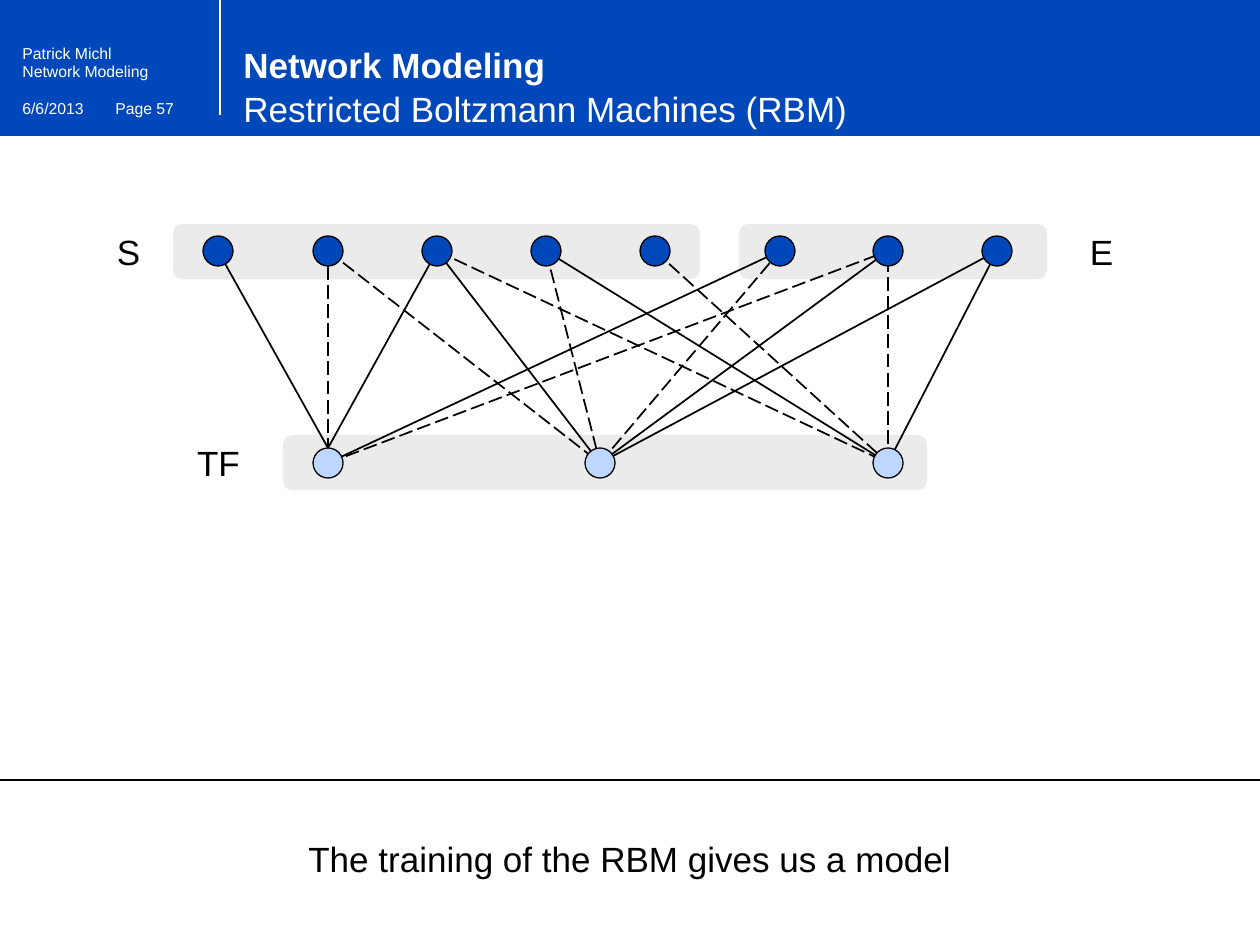
from dataclasses import dataclass

from lxml import etree
from pptx import Presentation
from pptx import util as u
from pptx.dml.color import RGBColor
from pptx.enum import dml, shapes, text
from pptx.oxml.ns import qn

SCALE = 914400 / 126
W, H = 1260, 945
BLUE, PALE, GREY, WHITE, BLACK = "0047B9", "BED7FF", "D9D9D9", "FFFFFF", "000000"
TOP_Y, BOTTOM_Y, DOT = 251, 463, 30
SMALL = {"size": u.Pt(9), "name": "Arial", "bold": False}
LARGE = {"size": u.Pt(20), "name": "Arial", "bold": False}
BOLD = {**LARGE, "bold": True}


@dataclass
class Label:
    x: int
    y: int
    w: int
    h: int
    lines: list[tuple[str, dict]]
    color: str = BLACK
    align: text.PP_ALIGN = text.PP_ALIGN.CENTER
    spacing: float = 1.0


@dataclass
class Edge:
    x1: int
    y1: int
    x2: int
    y2: int
    dashed: bool = False
    color: str = BLACK
    width: float = 1


def px(n: float) -> int:
    return round(n * SCALE)


def rgb(hex_color: str) -> RGBColor:
    return RGBColor.from_string(hex_color)


def draw_shape(s, kind, x: int, y: int, w: int, h: int, fill: str,
               outline: str | None = None, alpha: int | None = None) -> None:
    sp = s.shapes.add_shape(kind, px(x), px(y), px(w), px(h))
    sp.shadow.inherit = False
    sp.fill.solid()
    sp.fill.fore_color.rgb = rgb(fill)
    if alpha is not None:
        clr = sp.fill._xPr.find(".//" + qn("a:srgbClr"))
        etree.SubElement(clr, qn("a:alpha"), val=str(alpha * 1000))
    if outline:
        sp.line.color.rgb = rgb(outline)
        sp.line.width = u.Pt(0.75)
    else:
        sp.line.fill.background()


def draw_edge(s, e: Edge) -> None:
    c = s.shapes.add_connector(shapes.MSO_CONNECTOR.STRAIGHT,
                               px(e.x1), px(e.y1), px(e.x2), px(e.y2))
    etree.SubElement(c._element.spPr, qn("a:effectLst"))
    c.line.color.rgb = rgb(e.color)
    c.line.width = u.Pt(e.width)
    if e.dashed:
        c.line.dash_style = dml.MSO_LINE.LONG_DASH


def draw_label(s, label: Label) -> None:
    tf = s.shapes.add_textbox(px(label.x), px(label.y), px(label.w), px(label.h)).text_frame
    tf.word_wrap = True
    p = tf.paragraphs[0]
    p.alignment = label.align
    p.line_spacing = label.spacing
    for i, (words, fmt) in enumerate(label.lines):
        if i:
            p.add_line_break()
        r = p.add_run()
        r.text = words
        r.font.color.rgb = rgb(label.color)
        for key, value in fmt.items():
            setattr(r.font, key, value)


def main() -> None:
    prs = Presentation()
    prs.slide_width, prs.slide_height = px(W), px(H)
    s = prs.slides.add_slide(prs.slide_layouts[6])
    s.background.fill.solid()
    s.background.fill.fore_color.rgb = rgb("CCDBF1")

    rect = shapes.MSO_SHAPE.RECTANGLE
    draw_shape(s, rect, 0, 136, W, H - 136, WHITE)
    draw_shape(s, rect, 0, 0, W, 136, BLUE)
    draw_edge(s, Edge(220, 115, 220, 0, color=WHITE, width=0.9))
    for x, y, w in [(283, 435, 644), (739, 224, 308), (173, 224, 527)]:
        draw_shape(s, shapes.MSO_SHAPE.ROUNDED_RECTANGLE, x, y, w, 55, GREY, alpha=50)
    draw_edge(s, Edge(0, 780, W, 780, width=0.75))

    s_nodes = [218, 328, 437, 546, 655]
    e_nodes = [780, 888, 997]
    tf_nodes = [328, 600, 888]
    s_links = [(0, 0, False), (1, 0, True), (2, 0, False), (1, 1, True), (2, 1, False),
               (3, 1, True), (2, 2, True), (3, 2, False), (4, 2, True)]
    e_links = [(0, 0, False), (1, 0, True), (0, 1, True), (1, 1, False),
               (2, 1, False), (1, 2, True), (2, 2, False)]
    for a, b, dashed in s_links:
        start = 266 if a == 1 and b == 0 else TOP_Y
        end = BOTTOM_Y - DOT // 2 if b == 0 else BOTTOM_Y
        draw_edge(s, Edge(s_nodes[a], start, tf_nodes[b], end, dashed))
    for a, b, dashed in e_links:
        draw_edge(s, Edge(tf_nodes[b], BOTTOM_Y, e_nodes[a], TOP_Y, dashed))

    for nodes, y, fill in [(tf_nodes, BOTTOM_Y, PALE), (s_nodes + e_nodes, TOP_Y, BLUE)]:
        for x in nodes:
            draw_shape(s, shapes.MSO_SHAPE.OVAL, x - DOT // 2, y - DOT // 2,
                       DOT, DOT, fill, BLACK)

    left = text.PP_ALIGN.LEFT
    labels = [
        Label(103, 93, 127, 63, [("Page 57", SMALL)], WHITE, left),
        Label(10, 93, 116, 31, [("6/6/2013", SMALL)], WHITE, left),
        Label(10, 38, 168, 31, [("Patrick Michl", SMALL)], WHITE, left),
        Label(10, 56, 168, 31, [("Network Modeling", SMALL)], WHITE, left),
        Label(231, 35, 777, 97, [("Network Modeling", BOLD),
                                 ("Restricted Boltzmann Machines (RBM)", LARGE)],
              WHITE, left, 1.05),
        Label(94, 224, 69, 55, [("S", LARGE)]),
        Label(1067, 224, 69, 55, [("E", LARGE)]),
        Label(184, 435, 69, 55, [("TF", LARGE)]),
        Label(0, 831, W, 55, [("The training of the RBM gives us a model", LARGE)]),
    ]
    for label in labels:
        draw_label(s, label)
    prs.save("out.pptx")


if __name__ == "__main__":
    main()
